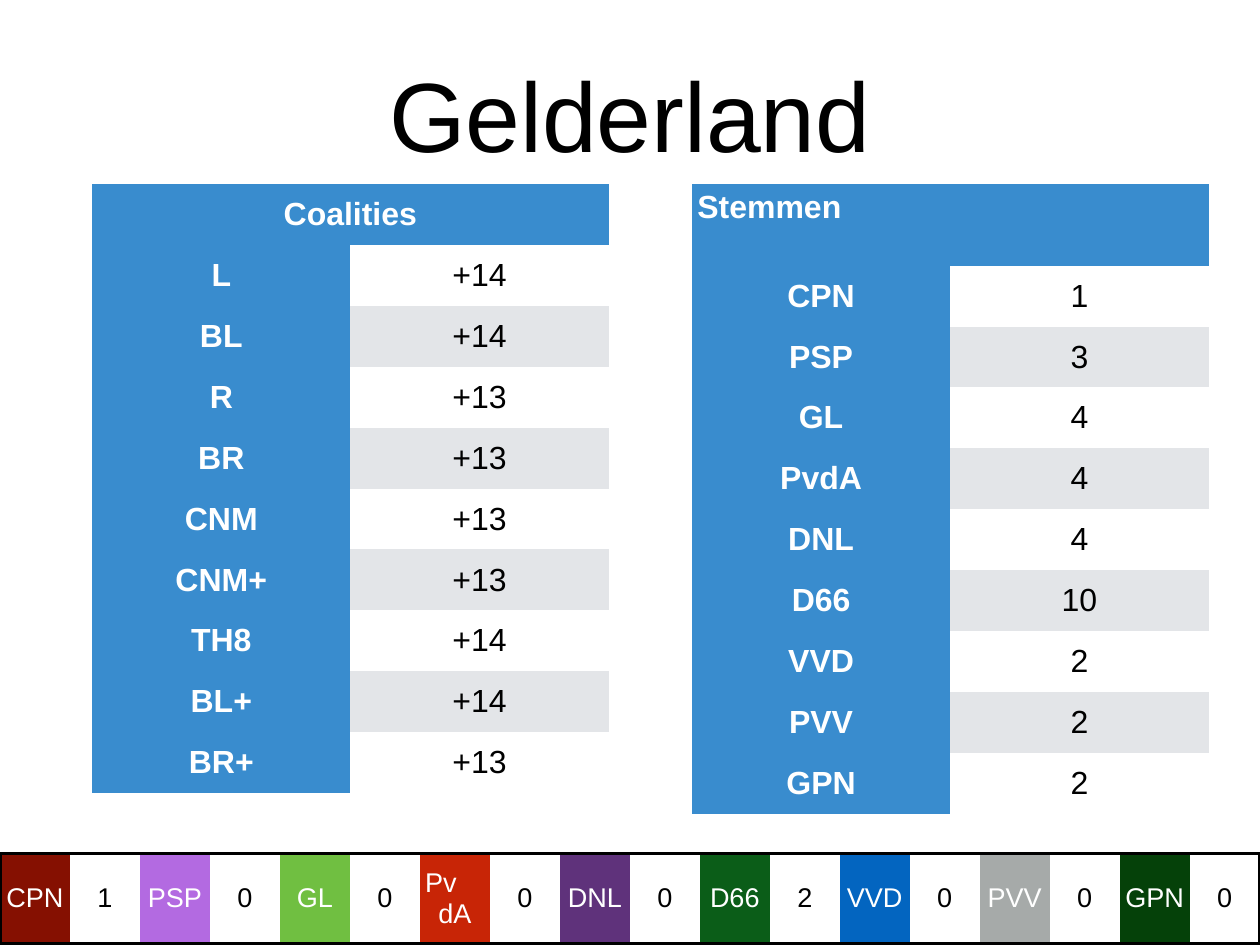
from lxml import etree
from pptx import Presentation
from pptx.dml.color import RGBColor
from pptx.enum.text import MSO_ANCHOR, PP_ALIGN
from pptx.oxml.ns import qn
from pptx.util import Inches, Pt

MID, TOP = MSO_ANCHOR.MIDDLE, MSO_ANCHOR.TOP
CENTER, LEFT = PP_ALIGN.CENTER, PP_ALIGN.LEFT
WIDE, HIGH = 14.22, 10.67
PAD = Inches(0.06)
ROW = 0.6875
FONT = "Arial"
PLAIN = "{2D5ABB26-0587-4C30-8999-92F81FD0307C}"
HEX = {"black": "000000", "white": "FFFFFF", "head": "398CCE", "band": "E3E5E8"}

BLOCS = [("L", "+14"), ("BL", "+14"), ("R", "+13"), ("BR", "+13"), ("CNM", "+13"),
         ("CNM+", "+13"), ("TH8", "+14"), ("BL+", "+14"), ("BR+", "+13")]
VOTES = [("CPN", "1"), ("PSP", "3"), ("GL", "4"), ("PvdA", "4"), ("DNL", "4"),
         ("D66", "10"), ("VVD", "2"), ("PVV", "2"), ("GPN", "2")]
# Party, seats, colour
SEATS = [("CPN", "1", "851001"), ("PSP", "0", "B36AE1"), ("GL", "0", "70BF41"),
         ("Pv\ndA", "0", "C82506"), ("DNL", "0", "5F327B"), ("D66", "2", "0B5D18"),
         ("VVD", "0", "0365C0"), ("PVV", "0", "A6AAA9"), ("GPN", "0", "054109")]


def write(par, text, size, color, bold=False, align=CENTER):
    par.alignment = align
    run = par.add_run()
    run.text = text
    font = run.font
    font.name, font.size, font.bold = FONT, Pt(size), bold
    font.color.rgb = RGBColor.from_string(color)


def pad(item):
    item.margin_left = item.margin_right = PAD
    item.margin_top = item.margin_bottom = PAD


def paint(cell, text, size, color, fill, bold=False, align=CENTER, anchor=MID):
    pad(cell)
    cell.vertical_anchor = anchor
    cell.fill.solid()
    cell.fill.fore_color.rgb = RGBColor.from_string(fill)
    frame = cell.text_frame
    lines = text.split("\n")
    for i, line in enumerate(lines):
        par = frame.add_paragraph() if i else frame.paragraphs[0]
        # Only the last line of a split name is centred
        write(par, line, size, color, bold, align if line is lines[-1] else LEFT)


def edge(cell, sides):
    props = cell._tc.get_or_add_tcPr()
    for side in sides:
        line = etree.SubElement(props, qn("a:ln" + side), w=str(Pt(3)))
        fill = etree.SubElement(line, qn("a:solidFill"))
        etree.SubElement(fill, qn("a:srgbClr"), val=HEX["black"])


def grid(slide, box, rows, cols):
    table = slide.shapes.add_table(rows, cols, *map(Inches, box)).table
    table.first_row = table.horz_banding = False
    table._tbl.tblPr[0].text = PLAIN
    for col in table.columns:
        col.width = Inches(box[2] / cols)
    return table


def title(slide, box, text):
    frame = slide.shapes.add_textbox(*map(Inches, box)).text_frame
    frame.word_wrap = True
    frame.vertical_anchor = MID
    pad(frame)
    write(frame.paragraphs[0], text, 80, HEX["black"])


def scores(slide, box, name, data, top=ROW, align=CENTER, anchor=MID):
    table = grid(slide, box, len(data) + 1, 2)
    for i, row in enumerate(table.rows):
        row.height = Inches(ROW if i else top)
    # Heading across both columns
    head = table.cell(0, 0)
    head.merge(table.cell(0, 1))
    paint(head, name, 26, HEX["white"], HEX["head"], True, align, anchor)
    # Labels and banded values
    for i, (label, value) in enumerate(data, 1):
        paint(table.cell(i, 0), label, 26, HEX["white"], HEX["head"], True)
        paint(table.cell(i, 1), value, 26, HEX["black"], HEX["white" if i % 2 else "band"])


def strip(slide, box, data):
    count = 2 * len(data)
    table = grid(slide, box, 1, count)
    table.rows[0].height = Inches(box[3])
    # Black frame round the whole row
    for i in range(count):
        sides = "L" * (i == 0) + "R" * (i == count - 1) + "TB"
        edge(table.cell(0, i), sides)
    for i, (party, seats, color) in enumerate(data):
        paint(table.cell(0, 2 * i), party, 22, HEX["white"], color)
        paint(table.cell(0, 2 * i + 1), seats, 22, HEX["black"], HEX["white"])


def main():
    deck = Presentation()
    deck.slide_width, deck.slide_height = Inches(WIDE), Inches(HIGH)
    slide = deck.slides.add_slide(deck.slide_layouts[6])
    title(slide, (1.04, 0.49, 12.14, 1.57), "Gelderland")
    scores(slide, (1.04, 2.08, 5.83, 10 * ROW), "Coalities", BLOCS)
    scores(slide, (7.81, 2.08, 5.83, 10 * ROW), "Stemmen", VOTES, 0.92, LEFT, TOP)
    strip(slide, (0, 9.64, WIDE, 1.01), SEATS)
    deck.save("out.pptx")


if __name__ == "__main__":
    main()
